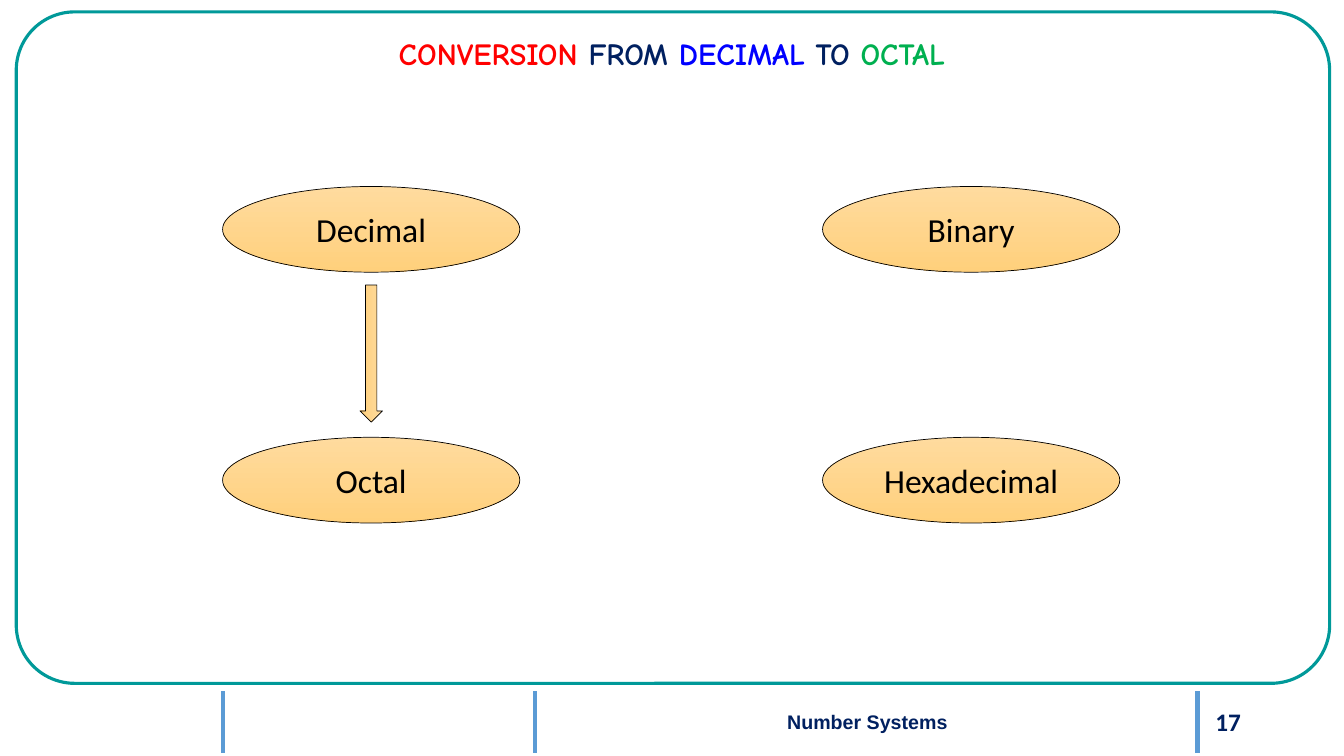
from collections import namedtuple

from lxml import etree
from pptx import Presentation
from pptx.dml.color import RGBColor
from pptx.enum.shapes import MSO_CONNECTOR, MSO_SHAPE
from pptx.enum.text import MSO_ANCHOR, MSO_AUTO_SIZE, PP_ALIGN
from pptx.oxml.ns import qn
from pptx.util import Cm, Pt

Box = namedtuple("Box", "left top width height")

STRAIGHT = MSO_CONNECTOR.STRAIGHT
ELLIPSE, ARROW, ROUNDED = MSO_SHAPE.OVAL, MSO_SHAPE.RIGHT_ARROW, MSO_SHAPE.ROUNDED_RECTANGLE
MIDDLE = MSO_ANCHOR.MIDDLE
NO_AUTOFIT = MSO_AUTO_SIZE.NONE
CENTER, RIGHT = PP_ALIGN.CENTER, PP_ALIGN.RIGHT

TEAL = RGBColor(0x00, 0x99, 0x99)
NAVY = RGBColor(0x00, 0x20, 0x60)
RED = RGBColor(0xFF, 0x00, 0x00)
BLUE = RGBColor(0x00, 0x00, 0xFF)
GREEN = RGBColor(0x00, 0xB0, 0x50)
RULE_BLUE = RGBColor(0x5B, 0x9B, 0xD5)
BLACK = RGBColor(0x00, 0x00, 0x00)
LIGHT_ORANGE = RGBColor(0xFF, 0xDB, 0x9E)
DEEP_ORANGE = RGBColor(0xFF, 0xD0, 0x7C)

TITLE_WORDS = [("CONVERSION", RED), (" FROM ", NAVY), ("DECIMAL", BLUE),
               (" TO ", NAVY), ("OCTAL", GREEN)]
SYSTEMS = [["Decimal", "Binary"], ["Octal", "Hexadecimal"]]


def place(box):
    """Turn a box in centimetres into four lengths."""
    return [Cm(value) for value in box]


def set_font(para, name, size, bold, color=None):
    """Give a whole paragraph its font."""
    para.font.name, para.font.size, para.font.bold = name, Pt(size), bold
    if color is not None:
        para.font.color.rgb = color


def add_frame(slide, box):
    """Draw the rounded border around the content."""
    frame = slide.shapes.add_shape(ROUNDED, *place(box))
    frame.adjustments[0] = 0.087
    frame.shadow.inherit = False
    frame.fill.background()
    frame.line.color.rgb = TEAL
    frame.line.width = Pt(2.25)


def fill_title(slide, box):
    """Write the title with one colour per word."""
    title = slide.shapes.title
    title.left, title.top, title.width, title.height = place(box)
    text = title.text_frame
    text.auto_size = NO_AUTOFIT
    text.vertical_anchor = MIDDLE
    para = text.paragraphs[0]
    para.alignment = CENTER
    set_font(para, "Comic Neue", 22, True)
    for words, color in TITLE_WORDS:
        span = para.add_run()
        span.text = words
        span.font.color.rgb = color


def add_orange_shape(slide, kind, box):
    """Draw a thinly outlined shape with the orange gradient."""
    shape = slide.shapes.add_shape(kind, *place(box))
    shape.shadow.inherit = False
    shape.fill.gradient()
    shape.fill.gradient_angle = 270
    for stop, color in zip(shape.fill.gradient_stops, (LIGHT_ORANGE, DEEP_ORANGE)):
        stop.color.rgb = color
    shape.line.color.rgb = BLACK
    shape.line.width = Pt(0.5)
    return shape


def add_diagram(slide, box):
    """Place the number systems in the corners and the arrow between the left two."""
    width, height = 7.49, 2.16
    for row, names in enumerate(SYSTEMS):
        for column, name in enumerate(names):
            left = box.left + column * (box.width - width)
            top = box.top + row * (box.height - height)
            ellipse = add_orange_shape(slide, ELLIPSE, Box(left, top, width, height))
            text = ellipse.text_frame
            text.vertical_anchor = MIDDLE
            para = text.paragraphs[0]
            para.text = name
            para.alignment = CENTER
            set_font(para, "Calibri", 24, False, BLACK)
    length, thickness = 3.46, 0.57
    arrow_box = Box(box.left + (width - length) / 2,
                    box.top + (box.height - thickness) / 2 - 0.03, length, thickness)
    add_orange_shape(slide, ARROW, arrow_box).rotation = 90


def add_footer_text(slide, box, words, alignment, font, size):
    """Write one bold footer entry."""
    text = slide.shapes.add_textbox(*place(box)).text_frame
    text.word_wrap = True
    text.vertical_anchor = MIDDLE
    para = text.paragraphs[0]
    para.text = words
    para.alignment = alignment
    set_font(para, font, size, True, NAVY)


def add_footer(slide, box):
    """Draw the footer rules, the deck name and the page number."""
    for offset in (0, 7.88, 24.57):
        x = Cm(box.left + offset)
        rule = slide.shapes.add_connector(STRAIGHT, x, Cm(box.top), x, Cm(box.top + box.height))
        rule.line.color.rgb = RULE_BLUE
        rule.line.width = Pt(3)
        etree.SubElement(rule._element.spPr, qn("a:effectLst"))
    add_footer_text(slide, Box(box.left + 9.53, box.top + 0.33, 13.44, 0.86),
                    "Number Systems", CENTER, "Arial", 14)
    add_footer_text(slide, Box(box.left + 22.43, box.top + 0.25, 3.48, 1.02),
                    "17", RIGHT, "Calibri", 18)


def main():
    """Build the slide and save the deck."""
    deck = Presentation()
    deck.slide_width, deck.slide_height = Cm(33.87), Cm(19.05)
    slide = deck.slides.add_slide(deck.slide_layouts[5])
    add_frame(slide, Box(0.41, 0.3, 33.1, 16.92))
    fill_title(slide, Box(1.32, 0.74, 31.22, 1.19))
    add_diagram(slide, Box(5.61, 4.7, 22.61, 8.48))
    add_footer(slide, Box(5.61, 17.42, 24.57, 1.55))
    deck.save("out.pptx")


if __name__ == "__main__":
    main()
